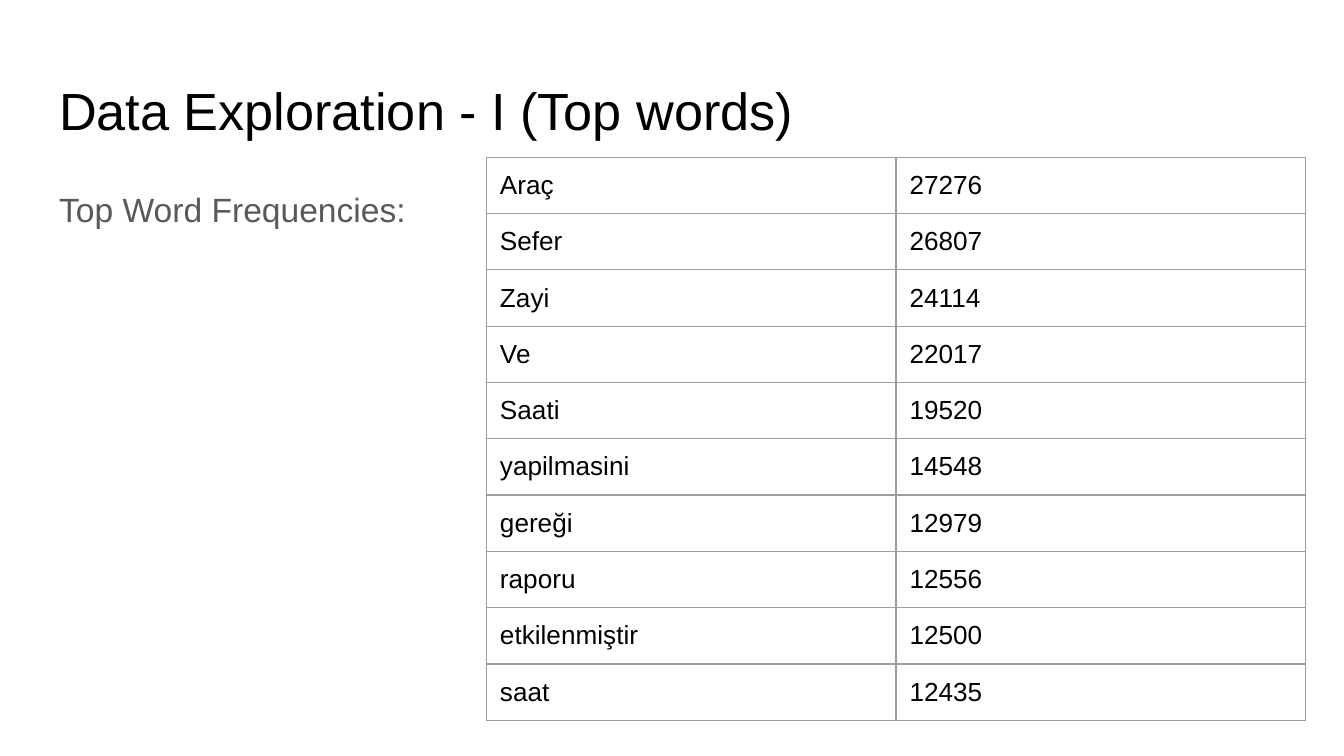
import pptx
import pptx.dml.color
import pptx.enum.text
import pptx.oxml.ns
import pptx.util
from lxml import etree

PX = 4572
INSET = 20
FONT = "Arial"
BLACK, GRAY, BORDER, WHITE = "000000", "595959", "9E9E9E", "FFFFFF"
FIRST_ROW_HEIGHT, ROW_HEIGHT = 74, 83
WORD_COUNTS = [
    ("Araç", "27276"),
    ("Sefer", "26807"),
    ("Zayi", "24114"),
    ("Ve", "22017"),
    ("Saati", "19520"),
    ("yapilmasini", "14548"),
    ("gereği", "12979"),
    ("raporu", "12556"),
    ("etkilenmiştir", "12500"),
    ("saat", "12435"),
]


def px(length):
    return pptx.util.Emu(length * PX)


def color(value):
    return pptx.dml.color.RGBColor.from_string(value)


def set_margins(target):
    target.margin_left = target.margin_right = px(INSET)
    target.margin_top = target.margin_bottom = px(INSET)


def add_text(para, text, size, shade):
    para.alignment = pptx.enum.text.PP_ALIGN.LEFT
    span = para.add_run()
    span.text = text
    span.font.name = FONT
    span.font.size = pptx.util.Pt(size)
    span.font.color.rgb = color(shade)


def fill_placeholder(holder, box, text, size, shade):
    holder.left, holder.top, holder.width, holder.height = map(px, box)
    frame = holder.text_frame
    frame.word_wrap = True
    frame.auto_size = pptx.enum.text.MSO_AUTO_SIZE.NONE
    frame.vertical_anchor = pptx.enum.text.MSO_ANCHOR.TOP
    set_margins(frame)
    para = frame.paragraphs[0]
    para.space_before = pptx.util.Pt(0)
    add_text(para, text, size, shade)
    return para


def place_title(slide, box):
    fill_placeholder(slide.shapes.title, box, "Data Exploration - I (Top words)", 28, BLACK)


def place_body(slide, box):
    para = fill_placeholder(slide.placeholders[1], box, "Top Word Frequencies:", 18, GRAY)
    para.line_spacing = 1.15
    properties = para._p.get_or_add_pPr()
    properties.set("marL", "0")
    properties.set("indent", "0")
    etree.SubElement(properties, pptx.oxml.ns.qn("a:buNone"))


def add_borders(cell):
    properties = cell._tc.get_or_add_tcPr()
    for side in ("lnL", "lnR", "lnT", "lnB"):
        line = etree.SubElement(properties, pptx.oxml.ns.qn("a:" + side), w=str(pptx.util.Pt(0.75)))
        fill = etree.SubElement(line, pptx.oxml.ns.qn("a:solidFill"))
        etree.SubElement(fill, pptx.oxml.ns.qn("a:srgbClr"), val=BORDER)


def place_word_table(slide, box):
    table = slide.shapes.add_table(len(WORD_COUNTS), 2, *map(px, box)).table
    table.first_row = False
    table.horz_banding = False
    for row, texts in zip(table.rows, WORD_COUNTS):
        row.height = px(ROW_HEIGHT)
        for cell, text in zip(row.cells, texts):
            set_margins(cell)
            add_borders(cell)
            cell.fill.background()
            add_text(cell.text_frame.paragraphs[0], text, 14, BLACK)
    table.rows[0].height = px(FIRST_ROW_HEIGHT)


def main():
    deck = pptx.Presentation()
    deck.slide_width, deck.slide_height = px(2000), px(1125)
    page = deck.slides.add_slide(deck.slide_layouts[1])
    page.background.fill.solid()
    page.background.fill.fore_color.rgb = color(WHITE)
    place_title(page, (68, 97, 1864, 125))
    place_body(page, (68, 252, 1864, 747))
    place_word_table(page, (724, 234, 1219, ROW_HEIGHT * len(WORD_COUNTS)))
    deck.save("out.pptx")


if __name__ == "__main__":
    main()
